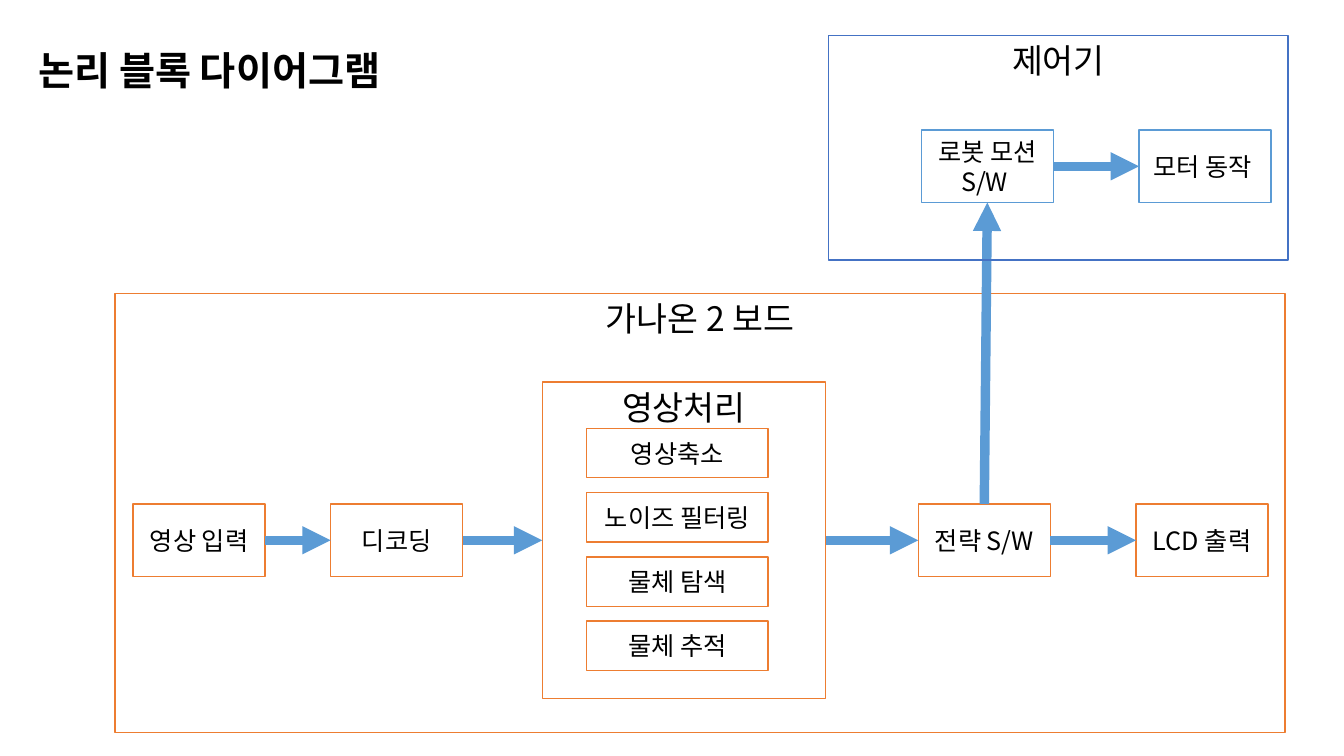
from dataclasses import dataclass

from lxml import etree
from pptx import Presentation, util as u
from pptx.dml.color import RGBColor
from pptx.enum import shapes, text
from pptx.oxml.ns import qn


@dataclass(frozen=True)
class Theme:
    font: str = "Noto Sans CJK KR"
    ink: str = "000000"
    white: str = "FFFFFF"
    orange: str = "ED7D31"
    sky: str = "5B9BD5"
    blue: str = "4472C4"
    title: float = 28
    head: float = 24
    body: float = 18
    edge: float = 1
    arrow: float = 6.75


@dataclass(frozen=True)
class Box:
    """A framed label; place and size are in grid columns and rows."""
    label: str
    x: float
    y: float
    w: float
    h: float
    line: str
    group: bool = False
    fill: bool = True


@dataclass(frozen=True)
class Link:
    start: str
    end: str
    sides: tuple[int, int]


THEME = Theme()
WIDTH, HEIGHT = u.Inches(13.33), u.Inches(7.5)
COL, ROW = WIDTH / 40, HEIGHT / 30

TOP, LEFT, BOTTOM, RIGHT = range(4)
ACROSS, UP = (RIGHT, LEFT), (TOP, BOTTOM)

STEP_W, STEP_H = 3.93, 2.88
STEP_Y, MOVE_Y = 20, 5.16
STAGE_Y, STAGE_GAP = 17, 2.55

BOARD = Box("가나온 2 보드", 3.42, 11.64, 34.83, 17.44, THEME.orange, group=True)
VISION = Box("영상처리", 16.14, 15.16, 8.43, 12.56, THEME.orange, group=True)
CONTROL = Box("제어기", 24.66, 1.4, 13.68, 8.92, THEME.blue, group=True, fill=False)

STEPS = [
    Box(label, x, STEP_Y, STEP_W, STEP_H, THEME.orange)
    for label, x in [("영상 입력", 3.96), ("디코딩", 9.84),
                     ("전략 S/W", 27.33), ("LCD 출력", 33.81)]
]
STAGES = [
    Box(label, 17.46, STAGE_Y + i * STAGE_GAP, 5.4, 1.96, THEME.orange)
    for i, label in enumerate(["영상축소", "노이즈 필터링", "물체 탐색", "물체 추적"])
]
MOVES = [
    Box(label, x, MOVE_Y, STEP_W, STEP_H, THEME.sky)
    for label, x in [("로봇 모션 S/W ", 27.42), ("모터 동작 ", 33.9)]
]
LINKS = [
    Link("영상 입력", "디코딩", ACROSS),
    Link("디코딩", "영상처리", ACROSS),
    Link("영상처리", "전략 S/W", ACROSS),
    Link("전략 S/W", "LCD 출력", ACROSS),
    Link("전략 S/W", "로봇 모션 S/W ", UP),
    Link("로봇 모션 S/W ", "모터 동작 ", ACROSS),
]


def color(code: str) -> RGBColor:
    return RGBColor.from_string(code)


def area(x: float, y: float, w: float, h: float) -> tuple[int, ...]:
    """Turn grid columns and rows into slide lengths."""
    return tuple(round(n) for n in (x * COL, y * ROW, w * COL, h * ROW))


def write(shape, words: str, *, size: float, bold: bool = False,
          align=text.PP_ALIGN.CENTER, anchor=text.MSO_ANCHOR.MIDDLE) -> None:
    frame = shape.text_frame
    frame.word_wrap = True
    frame.vertical_anchor = anchor
    para = frame.paragraphs[0]
    para.alignment = align
    run = para.add_run()
    run.text = words
    font = run.font
    font.size, font.bold, font.name = u.Pt(size), bold, THEME.font
    font.color.rgb = color(THEME.ink)
    east = etree.SubElement(run._r.get_or_add_rPr(), qn("a:ea"))
    east.set("typeface", THEME.font)


def draw_box(slide, box: Box):
    shape = slide.shapes.add_shape(
        shapes.MSO_SHAPE.RECTANGLE, *area(box.x, box.y, box.w, box.h))
    shape.shadow.inherit = False
    if box.fill:
        shape.fill.solid()
        shape.fill.fore_color.rgb = color(THEME.white)
    else:
        shape.fill.background()
    shape.line.color.rgb = color(box.line)
    shape.line.width = u.Pt(THEME.edge)
    if box.group:
        write(shape, box.label, size=THEME.head, anchor=text.MSO_ANCHOR.TOP)
    else:
        write(shape, box.label, size=THEME.body)
    return shape


def draw_link(slide, link: Link, drawn: dict) -> None:
    arrow = slide.shapes.add_connector(
        shapes.MSO_CONNECTOR.STRAIGHT, 0, 0, 0, 0)
    arrow.begin_connect(drawn[link.start], link.sides[0])
    arrow.end_connect(drawn[link.end], link.sides[1])
    arrow.line.color.rgb = color(THEME.sky)
    arrow.line.width = u.Pt(THEME.arrow)
    props = arrow._element.spPr
    tip = etree.SubElement(props.find(qn("a:ln")), qn("a:tailEnd"))
    tip.set("type", "triangle")
    etree.SubElement(props, qn("a:effectLst"))


def main() -> None:
    deck = Presentation()
    deck.slide_width, deck.slide_height = WIDTH, HEIGHT
    slide = deck.slides.add_slide(deck.slide_layouts[6])

    drawn = {box.label: draw_box(slide, box)
             for box in [BOARD, *STEPS, VISION, *STAGES, *MOVES]}
    for link in LINKS:
        draw_link(slide, link, drawn)
    draw_box(slide, CONTROL)

    title = slide.shapes.add_textbox(*area(0.84, 1.64, 12.18, 2.28))
    write(title, "논리 블록 다이어그램", size=THEME.title, bold=True,
          align=text.PP_ALIGN.LEFT, anchor=text.MSO_ANCHOR.TOP)
    title.text_frame.auto_size = text.MSO_AUTO_SIZE.SHAPE_TO_FIT_TEXT
    deck.save("out.pptx")


if __name__ == "__main__":
    main()
